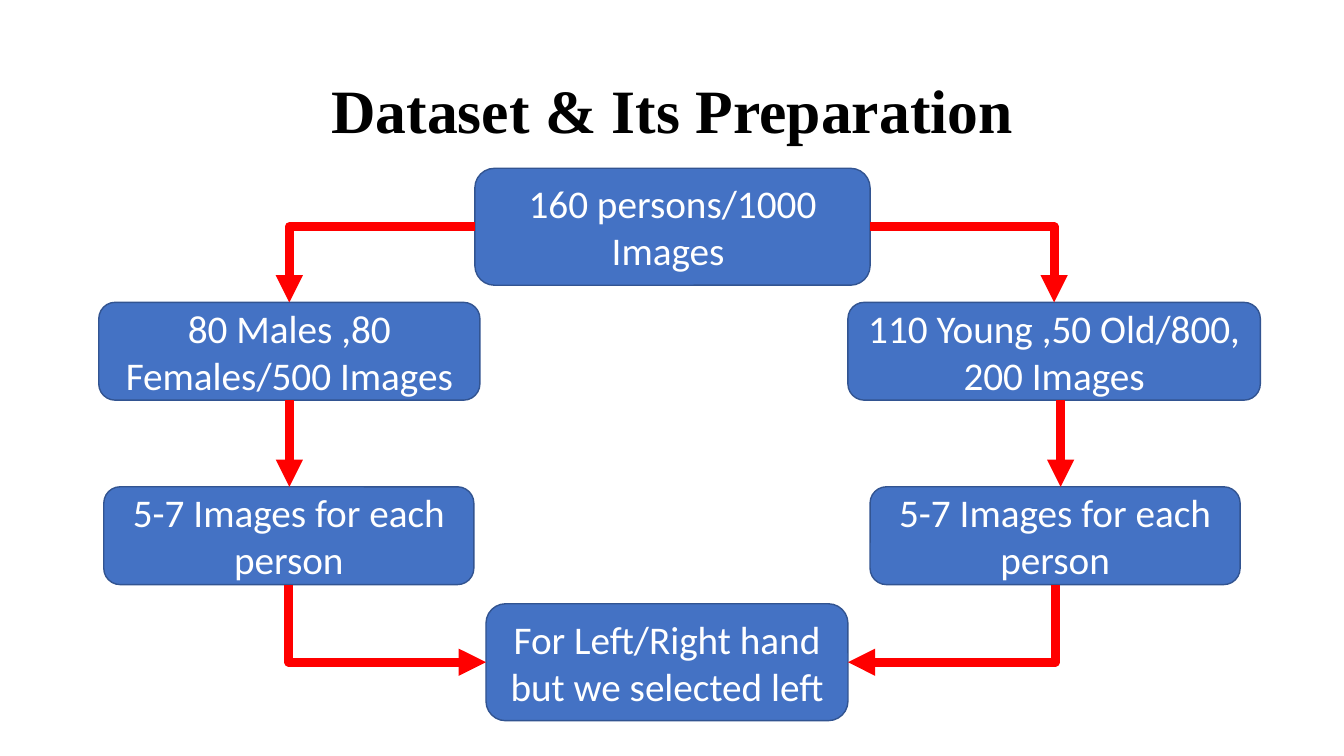
import pptx
import pptx.dml.color
import pptx.enum.shapes
import pptx.enum.text
import pptx.oxml
import pptx.oxml.ns
import pptx.util

Inches = pptx.util.Inches
Pt = pptx.util.Pt
Color = pptx.dml.color.RGBColor
Kind = pptx.enum.shapes.MSO_CONNECTOR
Text = pptx.enum.text
qn = pptx.oxml.ns.qn

BLUE = Color(0x44, 0x72, 0xC4)
NAVY = Color(0x32, 0x54, 0x91)
RED = Color(0xFF, 0, 0)
WHITE = Color(0xFF, 0xFF, 0xFF)
BLACK = Color(0, 0, 0)
TOP, LEFT, BOTTOM, RIGHT = range(4)


def write(frame, text, size=28, font="Calibri", color=WHITE, bold=False, space=1.0):
    frame.word_wrap = True
    frame.auto_size = Text.MSO_AUTO_SIZE.NONE
    frame.vertical_anchor = Text.MSO_ANCHOR.MIDDLE
    line = frame.paragraphs[0]
    line.alignment = Text.PP_ALIGN.CENTER
    line.line_spacing = space
    run = line.add_run()
    run.text = text
    run.font.size = Pt(size)
    run.font.name = font
    run.font.bold = bold
    run.font.color.rgb = color


class Chart:
    def __init__(self, deck):
        self.slide = deck.slides.add_slide(deck.slide_layouts[5])
        self.shapes = self.slide.shapes

    def title(self, text, left, top, width, height):
        item = self.shapes.title
        item.left, item.top = Inches(left), Inches(top)
        item.width, item.height = Inches(width), Inches(height)
        write(item.text_frame, text, size=44, font="Times New Roman",
              color=BLACK, bold=True, space=0.9)

    def box(self, text, left, top, width, height):
        item = self.shapes.add_shape(
            pptx.enum.shapes.MSO_SHAPE.ROUNDED_RECTANGLE,
            Inches(left), Inches(top), Inches(width), Inches(height))
        item.shadow.inherit = False
        item.fill.solid()
        item.fill.fore_color.rgb = BLUE
        item.line.color.rgb = NAVY
        item.line.width = Pt(1)
        write(item.text_frame, text)
        return item

    def style(self, link, tip):
        link.line.color.rgb = RED
        link.line.width = Pt(6.5)
        props = link._element.spPr
        end = pptx.oxml.parse_xml(
            f'<a:{tip} {pptx.oxml.ns.nsdecls("a")} type="triangle"/>')
        props.find(qn("a:ln")).append(end)
        props.append(pptx.oxml.parse_xml(
            f'<a:effectLst {pptx.oxml.ns.nsdecls("a")}/>'))

    def arrow(self, x, top, bottom):
        link = self.shapes.add_connector(
            Kind.STRAIGHT, Inches(x), Inches(top), Inches(x), Inches(bottom))
        self.style(link, "tailEnd")

    def elbow(self, start, side, stop, edge, tip):
        link = self.shapes.add_connector(Kind.ELBOW, 0, 0, 0, 0)
        link.begin_connect(start, side)
        link.end_connect(stop, edge)
        link._element.spPr.find(qn("a:prstGeom")).set("prst", "bentConnector2")
        self.style(link, tip)


def main():
    deck = pptx.Presentation()
    deck.slide_width, deck.slide_height = Inches(13.33), Inches(7.5)
    chart = Chart(deck)
    chart.title("Dataset & Its Preparation", 0.92, 0.4, 11.5, 1.45)

    people = chart.box("160 persons/1000 Images ", 4.71, 1.67, 3.92, 1.16)
    age = chart.box("110 Young ,50 Old/800, 200 Images", 8.41, 3, 4.09, 0.97)
    gender = chart.box("80 Males ,80 Females/500 Images", 0.98, 3, 3.78, 0.97)
    west, east = [chart.box("5-7 Images for each person", left, 4.83, 3.67, 0.97)
                  for left in (1.03, 8.63)]
    hand = chart.box("For Left/Right hand but we selected left",
                     4.82, 5.99, 3.59, 1.16)

    for side, group, count in ((RIGHT, age, east), (LEFT, gender, west)):
        chart.elbow(people, side, group, TOP, "tailEnd")
        chart.elbow(hand, side, count, BOTTOM, "headEnd")
    for x in (2.87, 10.52):
        chart.arrow(x, 3.97, 4.83)

    deck.save("out.pptx")


if __name__ == "__main__":
    main()
